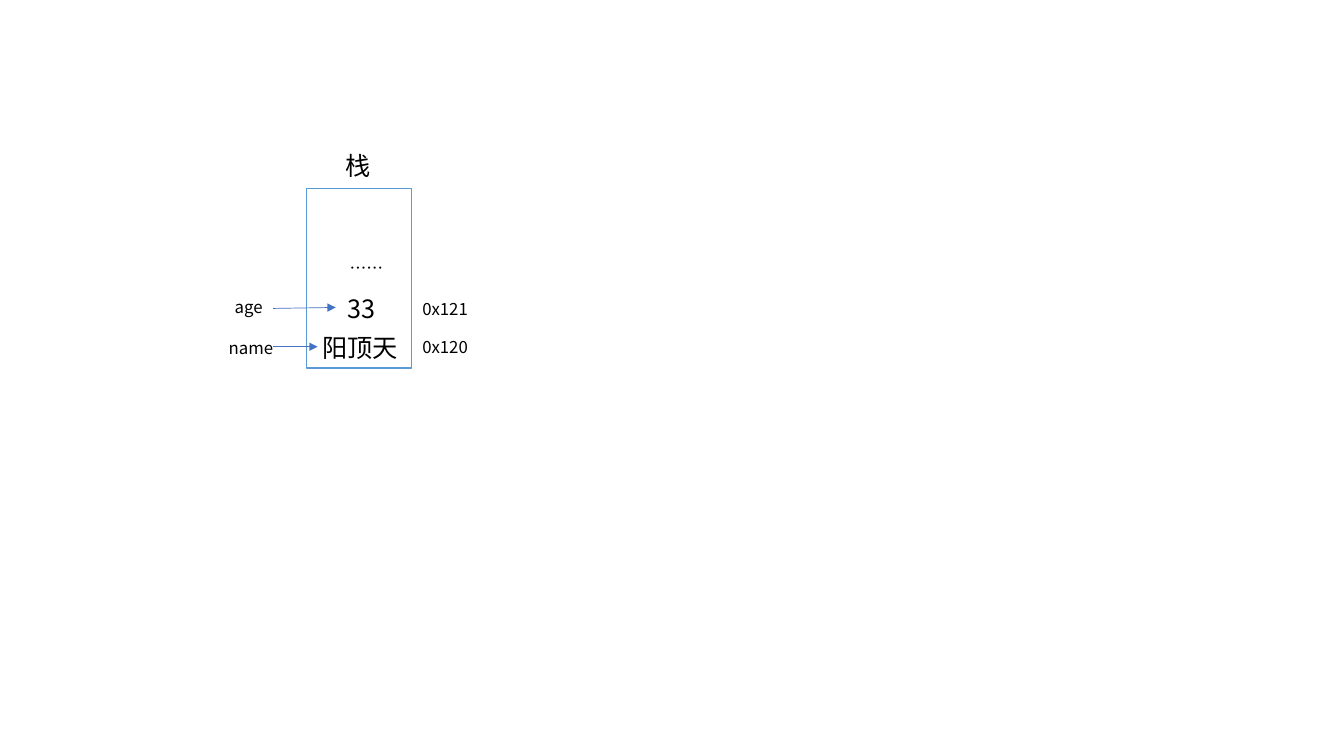
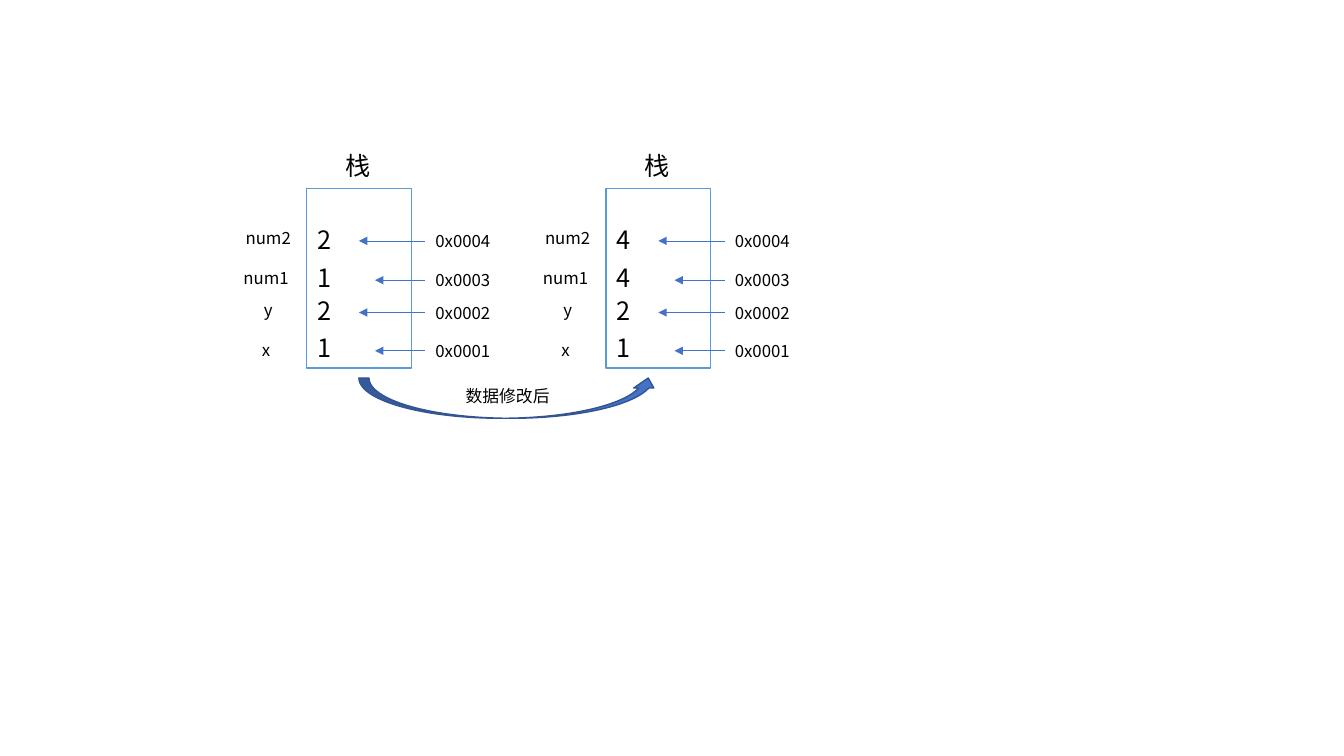
from lxml import etree
from pptx import Presentation
from pptx.dml.color import RGBColor
from pptx.enum.shapes import MSO_CONNECTOR, MSO_SHAPE
from pptx.enum.text import MSO_AUTO_SIZE, PP_ALIGN
from pptx.oxml.ns import qn
from pptx.util import Inches, Pt

FONT = "Noto Sans CJK SC"
BLACK = RGBColor(0x00, 0x00, 0x00)
WHITE = RGBColor(0xFF, 0xFF, 0xFF)
STACK_LINE = RGBColor(0x5B, 0x9B, 0xD5)
ARROW_BLUE = RGBColor(0x44, 0x72, 0xC4)
ARROW_EDGE = RGBColor(0x32, 0x54, 0x91)

LABEL_SIZE, VALUE_SIZE = 12, 18
TEXT_HEIGHT = {LABEL_SIZE: 0.3, VALUE_SIZE: 0.4}
STACK_LEFT, STACK_TOP, STACK_WIDTH, STACK_HEIGHT = 3.04, 1.87, 1.04, 1.78
STACK_SHIFT = 2.97
ADDRESS_LEFT = 4.22

# Name, address, then name left, name width, name top, value top, address top, arrow end
MEMORY_ROWS = [
    ("num2", "0x0004", 2.32, 0.68, 2.21, 2.18, 2.24, 3.56),
    ("num1", "0x0003", 2.24, 0.80, 2.61, 2.55, 2.63, 3.72),
    ("y", "0x0002", 2.32, 0.68, 2.92, 2.88, 2.95, 3.56),
    ("x", "0x0001", 2.24, 0.80, 3.32, 3.25, 3.33, 3.72),
]


def add_text(slide, text, left, top, width, size=LABEL_SIZE, align=PP_ALIGN.LEFT):
    box = slide.shapes.add_textbox(
        Inches(left), Inches(top), Inches(width), Inches(TEXT_HEIGHT[size]))
    frame = box.text_frame
    frame.word_wrap = True
    frame.auto_size = MSO_AUTO_SIZE.SHAPE_TO_FIT_TEXT
    paragraph = frame.paragraphs[0]
    paragraph.alignment = align
    run = paragraph.add_run()
    run.text = text
    run.font.name = FONT
    run.font.size = Pt(size)
    run.font.color.rgb = BLACK
    east_asian = etree.SubElement(run.font._element, qn("a:ea"))
    east_asian.set("typeface", FONT)


def add_filled_shape(slide, kind, left, top, width, height, fill, line):
    shape = slide.shapes.add_shape(
        kind, Inches(left), Inches(top), Inches(width), Inches(height))
    shape.shadow.inherit = False
    shape.fill.solid()
    shape.fill.fore_color.rgb = fill
    shape.line.color.rgb = line
    shape.line.width = Pt(1)


def add_arrow(slide, start, end):
    connector = slide.shapes.add_connector(
        MSO_CONNECTOR.STRAIGHT, *(Inches(value) for value in (*start, *end)))
    connector.line.color.rgb = ARROW_BLUE
    connector.line.width = Pt(0.5)
    tail = etree.SubElement(connector.line._get_or_add_ln(), qn("a:tailEnd"))
    tail.set("type", "triangle")
    etree.SubElement(connector._element.spPr, qn("a:effectLst"))


def add_stack(slide, shift=0):
    """Draw the empty stack frame and its heading."""
    add_filled_shape(slide, MSO_SHAPE.RECTANGLE, STACK_LEFT + shift, STACK_TOP,
                     STACK_WIDTH, STACK_HEIGHT, WHITE, STACK_LINE)
    add_text(slide, "栈", 3.02 + shift, 1.44, 1.06, VALUE_SIZE, PP_ALIGN.CENTER)


def add_memory_stack(slide, values, shift=0):
    """Draw a stack with named values and arrows from their addresses."""
    add_stack(slide, shift)
    address_left = ADDRESS_LEFT + shift
    for value, row in zip(values, MEMORY_ROWS):
        name, address, left, width, name_top, value_top, address_top, arrow_end = row
        add_text(slide, value, 3.05 + shift, value_top, 1.03, VALUE_SIZE)
        add_text(slide, name, left + shift, name_top, width, align=PP_ALIGN.CENTER)
        add_text(slide, address, address_left, address_top, 0.8)
        arrow_y = address_top + TEXT_HEIGHT[LABEL_SIZE] / 2
        add_arrow(slide, (address_left, arrow_y), (arrow_end + shift, arrow_y))


def build_variables_slide(slide):
    add_stack(slide)
    add_text(slide, "阳顶天", 3.05, 3.25, 1.04, VALUE_SIZE, PP_ALIGN.CENTER)
    add_text(slide, "33", 3.07, 2.86, 1.04, VALUE_SIZE, PP_ALIGN.CENTER)
    for text, left, top in [
        ("name", 2.17, 3.3),
        ("age", 2.23, 2.89),
        ("……", 3.37, 2.51),
        ("0x121", 4.09, 2.91),
        ("0x120", 4.09, 3.29),
    ]:
        add_text(slide, text, left, top, 0.84)
    add_arrow(slide, (2.71, 3.44), (3.15, 3.44))
    add_arrow(slide, (2.71, 3.06), (3.33, 3.05))


def build_modification_slide(slide):
    add_memory_stack(slide, ["2", "1", "2", "1"])
    add_memory_stack(slide, ["4", "4", "2", "1"], STACK_SHIFT)
    add_filled_shape(slide, MSO_SHAPE.CURVED_UP_ARROW, 3.56, 3.75, STACK_SHIFT, 0.4,
                     ARROW_BLUE, ARROW_EDGE)
    add_text(slide, "数据修改后", 4.52, 3.78, 1.06)


def main():
    presentation = Presentation()
    presentation.slide_width = Inches(13.33)
    presentation.slide_height = Inches(7.5)
    blank_layout = presentation.slide_layouts[6]
    for build in (build_variables_slide, build_modification_slide):
        build(presentation.slides.add_slide(blank_layout))
    presentation.save("out.pptx")


if __name__ == "__main__":
    main()
